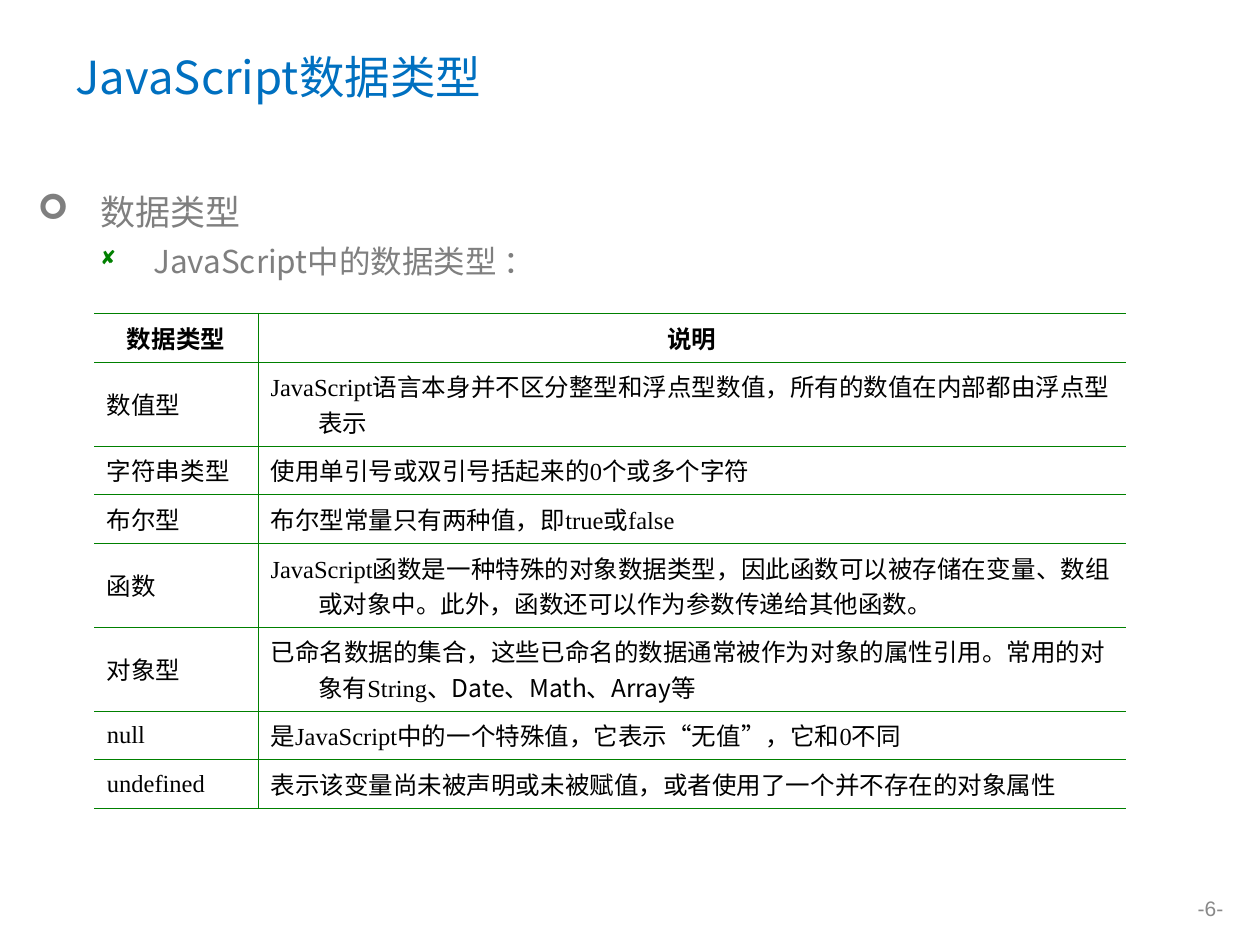
from pptx import Presentation
from pptx.dml.color import RGBColor
from pptx.enum.text import MSO_ANCHOR as Anchor, MSO_AUTO_SIZE as AutoSize, PP_ALIGN as Align
from pptx.oxml.ns import qn
from pptx.util import Cm, Pt
from lxml.etree import SubElement

SANS, SERIF = "Noto Sans CJK SC", "Times New Roman"
BLUE, GRAY, GREEN, BLACK = "0070C0", "7F7F7F", "008000", "000000"
NO_STYLE = "{2D5ABB26-0587-4C30-8999-92F81FD0307C}"
SHORT_ROW, TALL_ROW = Cm(0.98), Cm(1.69)
ROWS = [
    ("数据类型", ["说明"], SHORT_ROW),
    ("数值型", ["JavaScript语言本身并不区分整型和浮点型数值，所有的数值在内部都由浮点型表示"], TALL_ROW),
    ("字符串类型", ["使用单引号或双引号括起来的0个或多个字符"], SHORT_ROW),
    ("布尔型", ["布尔型常量只有两种值，即true或false"], SHORT_ROW),
    ("函数", ["JavaScript函数是一种特殊的对象数据类型，因此函数可以被存储在变量", "、",
            "数组或对象中。此外，函数还可以作为参数传递给其他函数。"], TALL_ROW),
    ("对象型", ["已命名数据的集合，这些已命名的数据通常被作为对象的属性引用。常用的对象有String",
             "、Date、Math、Array等"], TALL_ROW),
    ("null", ["是JavaScript中的一个特殊值，它表示“无值”，它和0不同"], SHORT_ROW),
    ("undefined", ["表示该变量尚未被声明或未被赋值，或者使用了一个并不存在的对象属性"], SHORT_ROW),
]


def rgb(value):
    """Turn a hex string into a colour."""
    return RGBColor.from_string(value)


def format_span(span, size, color, font=SANS, bold=False):
    """Set size, colour and typefaces of a run."""
    span.font.size, span.font.bold, span.font.name = Pt(size), bold, font
    span.font.color.rgb = rgb(color)
    SubElement(span.font._element, qn("a:ea"), typeface=SANS)


def set_indent(para, left, first):
    """Set the left margin and first-line indent of a paragraph."""
    props = para._p.get_or_add_pPr()
    props.set("marL", str(left))
    props.set("indent", str(first))
    return props


def add_bullet(para, char, color, left, hang, percent):
    """Give a paragraph a coloured hanging bullet."""
    props = set_indent(para, left, -hang)
    bullet_color = SubElement(props, qn("a:buClr"))
    SubElement(bullet_color, qn("a:srgbClr"), val=color)
    SubElement(props, qn("a:buSzPct"), val=str(percent * 1000))
    SubElement(props, qn("a:buFont"), typeface="Wingdings", charset="2")
    SubElement(props, qn("a:buChar"), char=char)


def add_title(page, text):
    """Fill and place the title placeholder."""
    title = page.shapes.title
    title.left, title.top, title.width, title.height = Cm(1.27), Cm(0.76), Cm(22.86), Cm(1.55)
    frame = title.text_frame
    frame.text = text
    frame.auto_size, frame.vertical_anchor = AutoSize.NONE, Anchor.MIDDLE
    para = frame.paragraphs[0]
    para.alignment = Align.LEFT
    format_span(para.runs[0], 26, BLUE)


def add_outline(page):
    """Add the two-level bulleted text."""
    box = page.shapes.add_textbox(Cm(0.51), Cm(2.51), Cm(24.89), Cm(14.5))
    frame = box.text_frame
    frame.word_wrap, frame.margin_top = True, Cm(1.19)
    frame.text = "数据类型\nJavaScript中的数据类型 ："
    topic, detail = frame.paragraphs
    topic.line_spacing = Pt(28)
    add_bullet(topic, "➢", GRAY, Cm(1.27), Cm(1.27), 100)
    format_span(topic.runs[0], 20, GRAY)
    detail.level = 1
    detail.line_spacing, detail.space_before = Pt(22.5), Pt(4.5)
    add_bullet(detail, "◻", GREEN, Cm(2.33), Cm(1.07), 80)
    format_span(detail.runs[0], 18, GRAY)


def set_borders(cell, widths):
    """Draw green borders on the sides named in widths."""
    props = cell._tc.get_or_add_tcPr()
    for place, side in enumerate(side for side in "LRTB" if side in widths):
        line = SubElement(props, qn(f"a:ln{side}"), w=str(Pt(widths[side])))
        fill = SubElement(line, qn("a:solidFill"))
        SubElement(fill, qn("a:srgbClr"), val=GREEN)
        props.insert(place, line)


def fill_cell(cell, parts, header):
    """Write a table cell whose second part is in the sans font."""
    cell.fill.background()
    cell.vertical_anchor = Anchor.MIDDLE
    para = cell.text_frame.paragraphs[0]
    para.alignment = Align.CENTER if header else Align.LEFT
    set_indent(para, Cm(0.96), -Cm(0.96))
    for index, part in enumerate(parts):
        span = para.add_run()
        span.text = part
        format_span(span, 14, BLACK, SANS if index == 1 else SERIF, header)


def add_types_table(page):
    """Add the table of data types."""
    height = sum(row[2] for row in ROWS)
    frame = page.shapes.add_table(len(ROWS), 2, Cm(1.9), Cm(6.32), Cm(20.8), height)
    table = frame.table
    table.first_row = table.horz_banding = False
    table._tbl.tblPr.find(qn("a:tableStyleId")).text = NO_STYLE
    table.columns[0].width, table.columns[1].width = Cm(3.3), Cm(17.5)
    last = len(ROWS) - 1
    for index, (name, parts, row_height) in enumerate(ROWS):
        table.rows[index].height = row_height
        for column, content in enumerate(([name], parts)):
            cell = table.cell(index, column)
            fill_cell(cell, content, index == 0)
            set_borders(cell, {"RL"[column]: 0.45,
                               "T": 0.75 if index == 0 else 0.45,
                               "B": 0.75 if index == last else 0.45})


def add_page_number(page, text):
    """Add the page number at the lower right."""
    box = page.shapes.add_textbox(Cm(23.11), Cm(17.93), Cm(1.8), Cm(0.74))
    frame = box.text_frame
    frame.word_wrap, frame.vertical_anchor = True, Anchor.MIDDLE
    frame.text = text
    para = frame.paragraphs[0]
    para.alignment = Align.RIGHT
    format_span(para.runs[0], 12, "898989", "Arial")


def main():
    """Build and save the deck."""
    deck = Presentation()
    deck.slide_width, deck.slide_height = Cm(25.4), Cm(19.05)
    page = deck.slides.add_slide(deck.slide_layouts[5])
    add_title(page, "JavaScript数据类型")
    add_outline(page)
    add_types_table(page)
    add_page_number(page, "-6-")
    deck.save("out.pptx")


if __name__ == "__main__":
    main()
